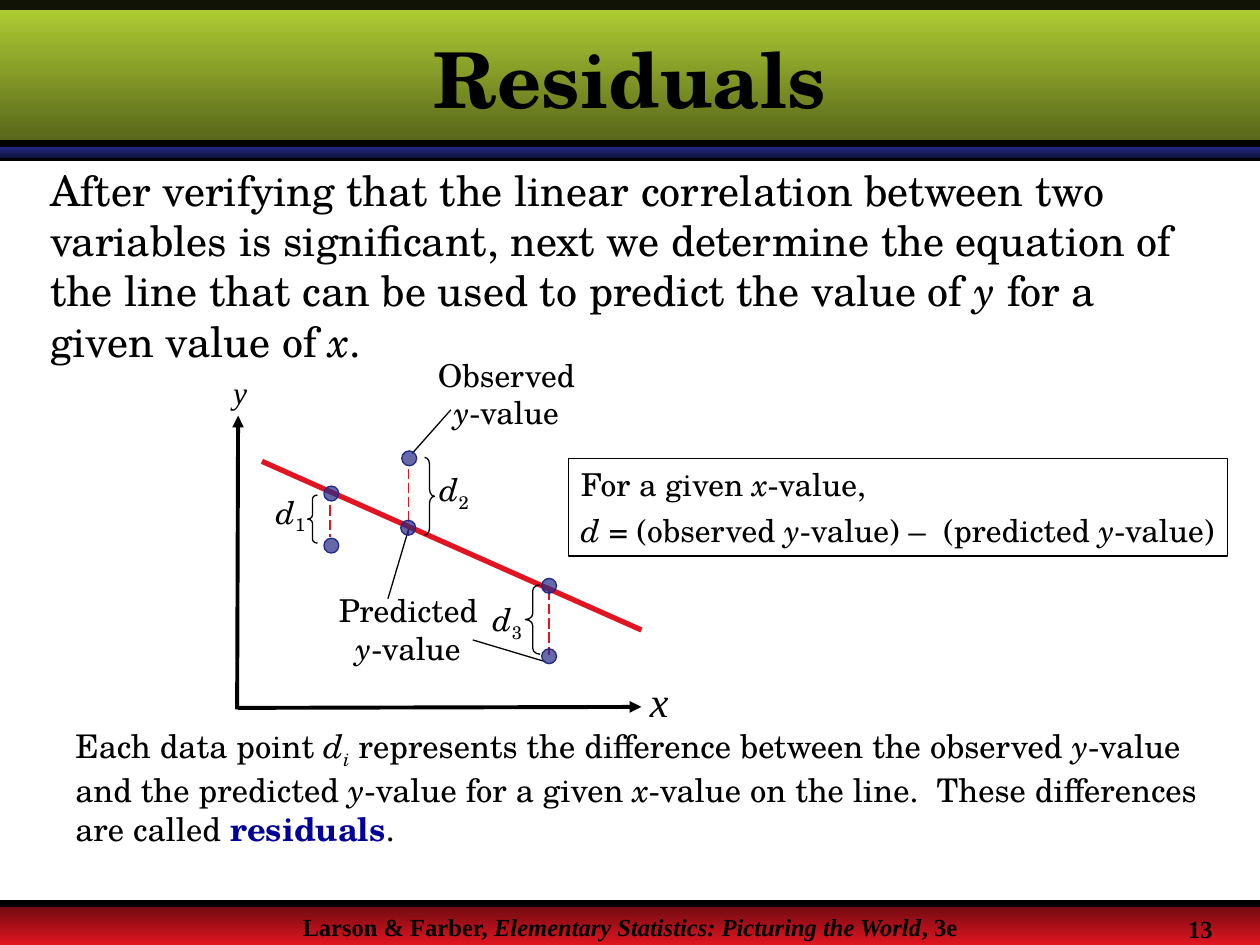
from typing import Any, NamedTuple

from lxml import etree
from pptx import Presentation
from pptx.dml.color import RGBColor
from pptx.enum.dml import MSO_LINE
from pptx.enum.shapes import MSO_CONNECTOR, MSO_SHAPE
from pptx.enum.text import MSO_ANCHOR, MSO_AUTO_SIZE, PP_ALIGN
from pptx.oxml.ns import qn
from pptx.util import Cm, Pt

STRAIGHT = MSO_CONNECTOR.STRAIGHT
RECT, OVAL = MSO_SHAPE.RECTANGLE, MSO_SHAPE.OVAL
LEFT, RIGHT = MSO_SHAPE.LEFT_BRACE, MSO_SHAPE.RIGHT_BRACE
DASH = MSO_LINE.LONG_DASH
CENTER, START = PP_ALIGN.CENTER, PP_ALIGN.LEFT
TOP, MIDDLE = MSO_ANCHOR.TOP, MSO_ANCHOR.MIDDLE
GROW, FIXED = MSO_AUTO_SIZE.SHAPE_TO_FIT_TEXT, MSO_AUTO_SIZE.NONE

BLACK, WHITE, RED, NAVY, BLUE = "000000", "FFFFFF", "E11521", "242985", "000099"
SERIF, SCHOOL = "Times New Roman", "TeX Gyre Schola"
WIDE, TALL = 25.4, 19.05
DOT = 0.3


class Piece(NamedTuple):
    text: str
    form: dict[str, Any] = {}
    color: str = BLACK
    base: int = 0


class Band(NamedTuple):
    top: float
    height: float
    first: str
    last: str


class Stroke(NamedTuple):
    x1: float
    y1: float
    x2: float
    y2: float
    color: str = BLACK
    width: float = 0.75
    dash: Any = None
    arrow: bool = False


class Brace(NamedTuple):
    kind: Any
    x: float
    y: float
    width: float
    height: float
    curve: float


class Block(NamedTuple):
    x: float
    y: float
    width: float
    height: float
    lines: list[list[Piece]]
    size: float
    face: str = SCHOOL
    align: Any = START
    wrap: bool = True
    bold: bool = False


SLANT = {"italic": True}
VALUE = [Piece("-", {"name": SERIF}), Piece("value")]
Y_VALUE = [Piece("y", SLANT), *VALUE]
X_VALUE = [Piece("x", SLANT), *VALUE]

BANDS = [
    Band(18.21, 0.84, "680A0F", RED),
    Band(2.97, 0.2, NAVY, "11133E"),
    Band(0, 2.97, "B5D335", "546219"),
]
STROKES = [
    Stroke(8.23, 9.45, 8.23, 10.8, RED, dash=DASH),
    Stroke(7.82, 12.07, 8.26, 10.59),
    Stroke(5.28, 9.3, 12.93, 12.7, RED, 3),
    Stroke(4.8, 14.27, 12.93, 14.25, width=2.25, arrow=True),
    Stroke(4.78, 14.3, 4.8, 8.38, width=2.25, arrow=True),
    Stroke(6.65, 10.19, 6.65, 10.82, RED, dash=DASH),
    Stroke(11.07, 11.89, 11.07, 13.21, RED, dash=DASH),
    Stroke(9.09, 8.26, 8.31, 9.14),
    Stroke(9.53, 12.9, 11, 13.34),
]
DOTS = [(6.53, 10.85), (6.53, 9.8), (8.1, 9.09),
        (10.92, 11.66), (8.08, 10.49), (10.92, 13.08)]
BRACES = [
    Brace(LEFT, 6.2, 9.98, 0.2, 0.97, 0.4),
    Brace(LEFT, 10.59, 11.79, 0.3, 1.4, 0.4),
    Brace(RIGHT, 8.56, 9.22, 0.2, 1.57, 0.7),
]
MARKS = [("1", 5.31, 9.8), ("2", 8.61, 9.35), ("3", 9.68, 11.96)]
NOTES = [("Observed ", 8.28, 7.04), ("Predicted ", 6.3, 11.79)]
BLOCKS = [
    Block(0, 18.26, WIDE, 0.76, [[
        Piece("Larson & Farber, "),
        Piece("Elementary Statistics: Picturing the World", SLANT),
        Piece(", 3e")]], 14, SERIF, CENTER, bold=True),
    Block(23.7, 18.29, 1.52, 0.76, [[Piece("13")]], 14, SERIF, bold=True),
    Block(0.76, 3.18, 23.29, 4.34, [[
        Piece("After verifying that the linear correlation between two variables is "
              "significant, next we determine the equation of the line that can be "
              "used to predict the value of "),
        Piece("y", SLANT), Piece(" for a given value of "),
        Piece("x", SLANT), Piece(".")]], 24),
    Block(1.27, 14.5, 23.29, 2.84, [[
        Piece("Each data point "), Piece("d", SLANT), Piece("i", SLANT, base=-25),
        Piece(" represents the difference between the observed "), *Y_VALUE,
        Piece(" and the predicted "), *Y_VALUE, Piece(" for a given "), *X_VALUE,
        Piece(" on the line.  These differences are called "),
        Piece("residuals", {"bold": True}, BLUE), Piece(".")]], 18.6),
    Block(12.85, 13.49, 1.5, 1.27, [[Piece("x", SLANT)]], 24, SERIF),
    Block(4.45, 7.39, 1.75, 1.02, [[Piece("y", SLANT)]], 18, SERIF),
    *[Block(x, y, 1.5, 1.12, [[Piece("d", SLANT), Piece(sub, base=-25)]], 18)
      for sub, x, y in MARKS],
    *[Block(x, y, 3.86, 1.78, [[Piece(word), *Y_VALUE]], 18, align=CENTER)
      for word, x, y in NOTES],
]
RULE = Block(11.46, 9.25, 13.28, 1.96, [
    [Piece("For a given "), *X_VALUE, Piece(",")],
    [Piece("d", SLANT), Piece(" = (observed "), *Y_VALUE,
     Piece(") –  (predicted "), *Y_VALUE, Piece(")")]], 18, wrap=False)
TITLE = Block(0, 0.2, WIDE, 2.74, [[Piece("Residuals")]], 44, align=CENTER, bold=True)


def shade(text: str) -> RGBColor:
    return RGBColor.from_string(text)


def apply(item: Any, form: dict[str, Any]) -> None:
    for key, value in form.items():
        setattr(item, key, value)


def paint(shape: Any, color: str, alpha: int = 100) -> None:
    shape.fill.solid()
    shape.fill.fore_color.rgb = shade(color)
    if alpha < 100:
        tint = shape.element.spPr.find(qn("a:solidFill"))[0]
        etree.SubElement(tint, qn("a:alpha"), val=str(alpha * 1000))


def edge(line: Any, color: str, width: float = 0.75) -> None:
    line.color.rgb = shade(color)
    line.width = Pt(width)


def add_form(slide: Any, kind: Any, *area: float) -> Any:
    shape = slide.shapes.add_shape(kind, *map(Cm, area))
    shape.shadow.inherit = False
    return shape


def add_band(slide: Any, band: Band) -> None:
    shape = add_form(slide, RECT, 0, band.top, WIDE, band.height)
    shape.line.fill.background()
    shape.fill.gradient()
    shape.fill.gradient_angle = 270
    for place, (stop, color) in enumerate(zip(shape.fill.gradient_stops, band[2:])):
        stop.position = place
        stop.color.rgb = shade(color)


def add_stroke(slide: Any, stroke: Stroke) -> None:
    line = slide.shapes.add_connector(STRAIGHT, *map(Cm, stroke[:4]))
    edge(line.line, stroke.color, stroke.width)
    if stroke.dash:
        line.line.dash_style = stroke.dash
    part = line.element.spPr
    if stroke.arrow:
        etree.SubElement(part.find(qn("a:ln")), qn("a:tailEnd"), type="triangle")
    etree.SubElement(part, qn("a:effectLst"))


def add_dot(slide: Any, x: float, y: float) -> None:
    shape = add_form(slide, OVAL, x, y, DOT, DOT)
    paint(shape, NAVY, 70)
    edge(shape.line, NAVY)


def add_brace(slide: Any, brace: Brace) -> None:
    shape = add_form(slide, *brace[:5])
    shape.adjustments[0] = brace.curve
    shape.fill.background()
    edge(shape.line, BLACK)


def write(shape: Any, block: Block, anchor: Any = TOP) -> None:
    frame = shape.text_frame
    apply(frame, {"auto_size": FIXED if block.wrap else GROW, "word_wrap": block.wrap,
                  "vertical_anchor": anchor,
                  "margin_left": Cm(0.25), "margin_right": Cm(0.25),
                  "margin_top": Cm(0.13), "margin_bottom": Cm(0.13)})
    for place, line in enumerate(block.lines):
        para = frame.add_paragraph() if place else frame.paragraphs[0]
        apply(para, {"alignment": block.align, "space_before": Pt(4.5 if place else 0)})
        for piece in line:
            run = para.add_run()
            run.text = piece.text
            apply(run.font, {"name": block.face, "size": Pt(block.size),
                             "bold": block.bold, "italic": False, **piece.form})
            run.font.color.rgb = shade(piece.color)
            if piece.base:
                run._r.get_or_add_rPr().set("baseline", str(piece.base * 1000))


def add_block(slide: Any, block: Block) -> Any:
    shape = slide.shapes.add_textbox(*map(Cm, block[:4]))
    write(shape, block)
    return shape


def main() -> None:
    deck = Presentation()
    apply(deck, {"slide_width": Cm(WIDE), "slide_height": Cm(TALL)})
    slide = deck.slides.add_slide(deck.slide_layouts[5])
    add_stroke(slide, Stroke(0, 3.18, WIDE, 3.18, width=4))
    for band in BANDS:
        add_band(slide, band)
    strip = add_form(slide, RECT, 0, 0, WIDE, 0.2)
    paint(strip, BLACK, 90)
    strip.line.fill.background()
    for y in (18.21, 2.9):
        add_stroke(slide, Stroke(0, y, WIDE, y, width=4))
    title = slide.shapes.title
    title.element.getparent().append(title.element)
    apply(title, dict(zip(("left", "top", "width", "height"), map(Cm, TITLE[:4]))))
    write(title, TITLE, MIDDLE)
    for stroke in STROKES:
        add_stroke(slide, stroke)
    for x, y in DOTS:
        add_dot(slide, x, y)
    for brace in BRACES:
        add_brace(slide, brace)
    for block in BLOCKS:
        add_block(slide, block)
    panel = add_block(slide, RULE)
    paint(panel, WHITE)
    edge(panel.line, BLACK)
    deck.save("out.pptx")


if __name__ == "__main__":
    main()
